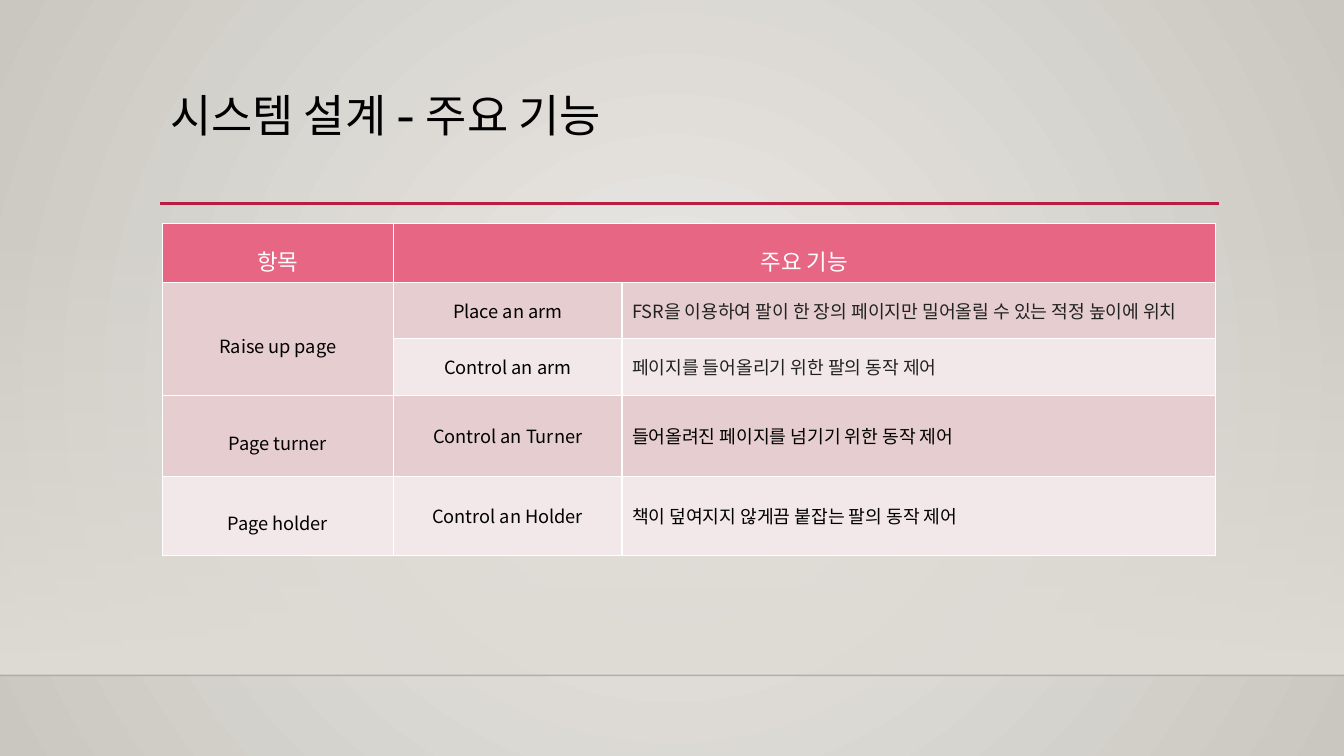
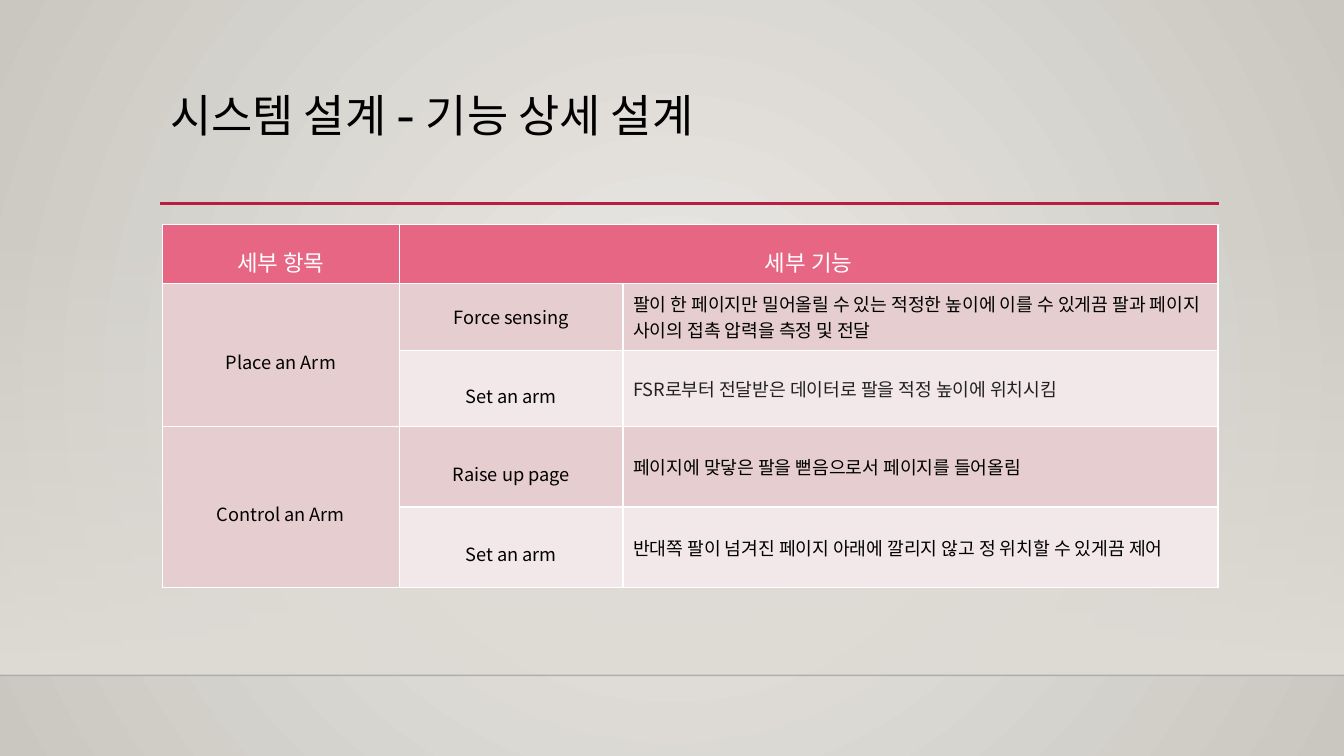
import pptx
import pptx.util
import pptx.oxml
import pptx.oxml.ns
import pptx.dml.color
import pptx.enum.shapes
import pptx.enum.text
from lxml import etree

Inches = pptx.util.Inches
Pt = pptx.util.Pt
qn = pptx.oxml.ns.qn
ALIGN = pptx.enum.text.PP_ALIGN
ANCHOR = pptx.enum.text.MSO_ANCHOR

COLORS = {
    "glow": "ECEAE7", "edge": "CAC7C1", "floor": "DFDBD5", "shade": "000001",
    "rule": "B71E42", "head": "E66684", "dark": "E6CDCF", "light": "F3E8E9",
    "white": "FFFFFF", "black": "000000", "gray": "222222",
}
HEAD_FONT = "Cabin"
BODY_FONT = "Noto Sans CJK KR"
WIDE, HIGH = 13.33, 7.5
FLOOR = 6.7

PAGES = [
    {
        "title": "시스템 설계 - 주요 기능",
        "box": (1.61, 2.22),
        "cols": [2.29, 2.27, 5.89],
        "rows": [0.58, 0.56, 0.56, 0.81, 0.78],
        "head": ["항목", "주요 기능"],
        "body": [
            ("Raise up page", "Place an arm", "FSR을 이용하여 팔이 한 장의 페이지만 밀어올릴 수 있는 적정 높이에 위치"),
            ("", "Control an arm", "페이지를 들어올리기 위한 팔의 동작 제어"),
            ("Page turner", "Control an Turner", "들어올려진 페이지를 넘기기 위한 동작 제어"),
            ("Page holder", "Control an Holder", "책이 덮여지지 않게끔 붙잡는 팔의 동작 제어"),
        ],
        "gray": {1, 2},
        "tall": set(),
    },
    {
        "title": "시스템 설계 - 기능 상세 설계",
        "box": (1.61, 2.23),
        "cols": [2.35, 2.22, 5.9],
        "rows": [0.58, 0.67, 0.75, 0.8, 0.8],
        "head": ["세부 항목", "세부 기능"],
        "body": [
            ("Place an Arm", "Force sensing", "팔이 한 페이지만 밀어올릴 수 있는 적정한 높이에 이를 수 있게끔 팔과 페이지 사이의 접촉 압력을 측정 및 전달"),
            ("", "Set an arm", "FSR로부터 전달받은 데이터로 팔을 적정 높이에 위치시킴"),
            ("Control an Arm", "Raise up page", "페이지에 맞닿은 팔을 뻗음으로서 페이지를 들어올림"),
            ("", "Set an arm", "반대쪽 팔이 넘겨진 페이지 아래에 깔리지 않고 정 위치할 수 있게끔 제어"),
        ],
        "gray": {2},
        "tall": {2, 3, 4},
    },
]


def rgb(name):
    return pptx.dml.color.RGBColor.from_string(COLORS[name])


def fade(color, part):
    etree.SubElement(color, qn("a:alpha"), val=str(part * 1000))


def blend(fill, first, last):
    fill.gradient()
    for stop, name in zip(fill.gradient_stops, (first, last)):
        stop.color.rgb = rgb(name)


def write(frame, text, size, font, ink, align=ALIGN.LEFT, space=1.0):
    frame.text = text
    par = frame.paragraphs[0]
    par.alignment = align
    par.line_spacing = space
    for run in par.runs:
        run.font.size = Pt(size)
        run.font.bold = False
        run.font.name = font
        run.font.color.rgb = rgb(ink)
        etree.SubElement(run.font._element, qn("a:ea"), typeface=BODY_FONT)


def set_back(master):
    blend(master.background.fill, "glow", "edge")
    lin = master.element.xpath("./p:cSld/p:bg//a:lin")[0]
    ring = pptx.oxml.parse_xml(
        f'<a:path {pptx.oxml.ns.nsdecls("a")} path="circle">'
        '<a:fillToRect l="50000" t="50000" r="50000" b="50000"/></a:path>')
    lin.getparent().replace(lin, ring)


def add_line(slide, left, top, width, weight, ink):
    line = slide.shapes.add_connector(
        pptx.enum.shapes.MSO_CONNECTOR.STRAIGHT,
        Inches(left), Inches(top), Inches(left + width), Inches(top))
    line.line.width = Pt(weight)
    line.line.color.rgb = rgb(ink)
    etree.SubElement(line.element.spPr, qn("a:effectLst"))
    return line


def add_floor(slide, top):
    band = slide.shapes.add_shape(
        pptx.enum.shapes.MSO_SHAPE.RECTANGLE,
        Inches(0), Inches(top), Inches(WIDE), Inches(FLOOR - top))
    band.shadow.inherit = False
    band.line.fill.background()
    blend(band.fill, "floor", "floor")
    band.fill.gradient_angle = 270
    fade(band.element.xpath(".//a:gs/a:srgbClr")[0], 0)
    line = add_line(slide, 0, FLOOR, WIDE, 1, "shade")
    fade(line.element.xpath(".//a:ln//a:srgbClr")[0], 20)


def add_title(slide, text, left, top, width, height):
    add_line(slide, left, top + height, width, 2.5, "rule")
    box = slide.shapes.add_textbox(
        Inches(left), Inches(top), Inches(width), Inches(height))
    frame = box.text_frame
    frame.word_wrap = True
    frame.vertical_anchor = ANCHOR.TOP
    write(frame, text, 32, HEAD_FONT, "black", space=0.9)


def paint(cell, name):
    props = cell._tc.get_or_add_tcPr()
    for side in ("lnL", "lnR", "lnT", "lnB"):
        edge = etree.SubElement(props, qn("a:" + side), w=str(Pt(1)))
        fill = etree.SubElement(edge, qn("a:solidFill"))
        etree.SubElement(fill, qn("a:srgbClr"), val=COLORS["white"])
    cell.fill.solid()
    cell.fill.fore_color.rgb = rgb(name)
    cell.vertical_anchor = ANCHOR.MIDDLE


def add_grid(slide, page, left, top):
    cols, rows = page["cols"], page["rows"]
    grid = slide.shapes.add_table(
        len(rows), len(cols), Inches(left), Inches(top),
        Inches(sum(cols)), Inches(sum(rows))).table
    grid.first_row = grid.horz_banding = False
    for col, width in zip(grid.columns, cols):
        col.width = Inches(width)
    for row, height in zip(grid.rows, rows):
        row.height = Inches(height)

    for y in range(len(rows)):
        for x in range(len(cols)):
            paint(grid.cell(y, x), "head" if y == 0 else "dark" if y % 2 else "light")

    grid.cell(0, 1).merge(grid.cell(0, 2))
    for x, text in enumerate(page["head"]):
        write(grid.cell(0, x).text_frame, text, 16, BODY_FONT, "white", ALIGN.CENTER, 1.5)

    for y, (item, part, duty) in enumerate(page["body"], 1):
        if item:
            write(grid.cell(y, 0).text_frame, item, 13, BODY_FONT, "black", ALIGN.CENTER, 1.5)
        else:
            grid.cell(y - 1, 0).merge(grid.cell(y, 0))
        space = 1.5 if y in page["tall"] else 1.0
        write(grid.cell(y, 1).text_frame, part, 13, BODY_FONT, "black", ALIGN.CENTER, space)
        ink = "gray" if y in page["gray"] else "black"
        write(grid.cell(y, 2).text_frame, duty, 13, BODY_FONT, ink)


def add_page(deck, page):
    slide = deck.slides.add_slide(deck.slide_layouts[6])
    add_floor(slide, 2.21)
    add_title(slide, page["title"], 1.59, 0.88, 10.5, 1.14)
    add_grid(slide, page, *page["box"])


def main():
    deck = pptx.Presentation()
    deck.slide_width, deck.slide_height = Inches(WIDE), Inches(HIGH)
    set_back(deck.slide_master)
    for page in PAGES:
        add_page(deck, page)
    deck.save("out.pptx")


if __name__ == "__main__":
    main()
